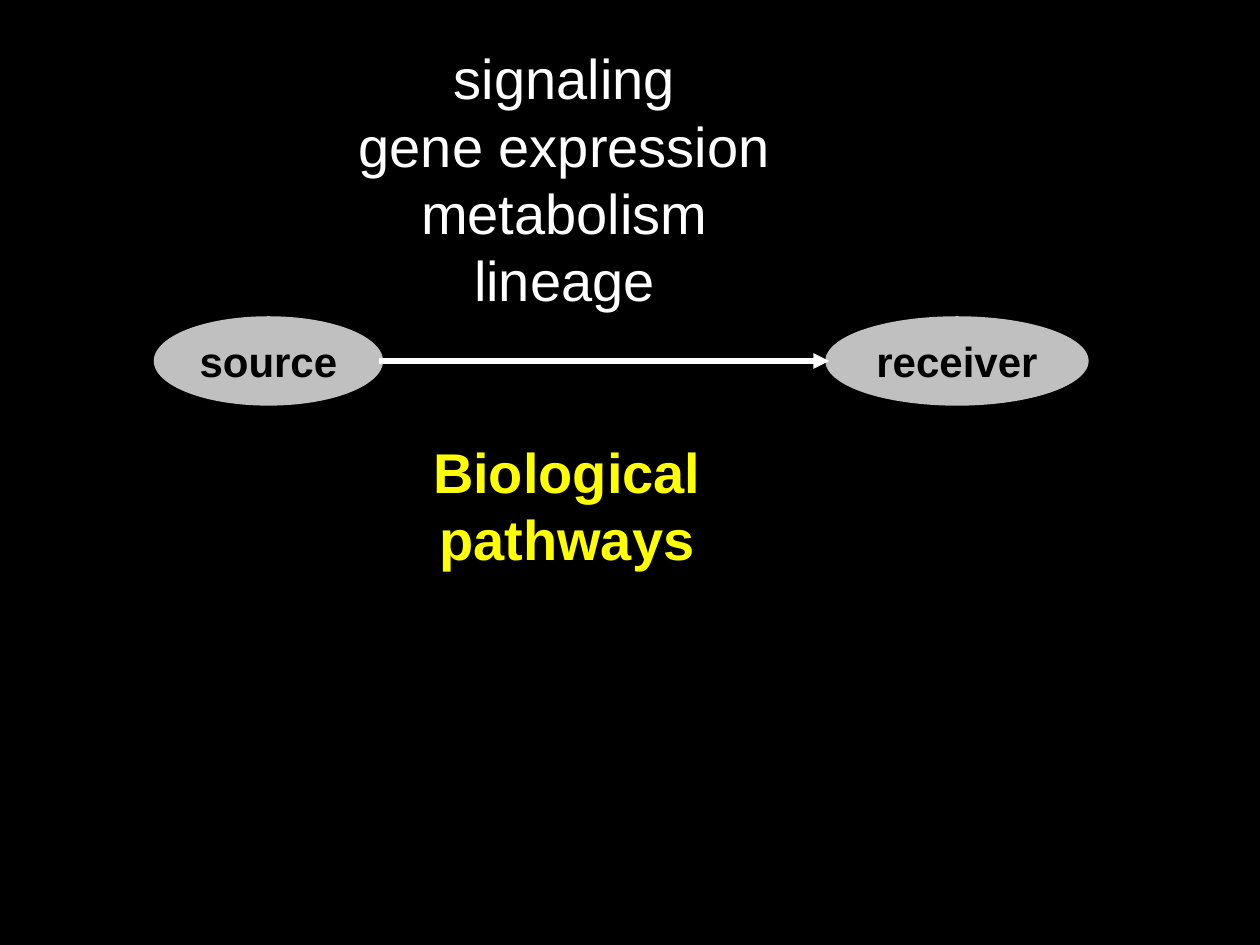
from lxml import etree
from pptx import Presentation
from pptx.dml.color import RGBColor
from pptx.enum.shapes import MSO_CONNECTOR, MSO_SHAPE
from pptx.enum.text import MSO_ANCHOR, MSO_AUTO_SIZE, PP_ALIGN
from pptx.oxml.ns import qn
from pptx.util import Inches, Pt

BLACK = RGBColor(0x00, 0x00, 0x00)
WHITE = RGBColor(0xFF, 0xFF, 0xFF)
GRAY = RGBColor(0xC0, 0xC0, 0xC0)
YELLOW = RGBColor(0xFF, 0xFF, 0x00)
FONT = "Arial"


def write_text(shape, lines, size=32, color=WHITE, bold=False,
               anchor=MSO_ANCHOR.TOP, wrap=False):
    """Fill a shape with centred lines, one paragraph each."""
    frame = shape.text_frame
    frame.word_wrap = wrap
    frame.auto_size = MSO_AUTO_SIZE.SHAPE_TO_FIT_TEXT
    frame.vertical_anchor = anchor
    # Narrow side margins keep each tightly fitting line whole
    frame.margin_left = frame.margin_right = Inches(0.05)
    frame.text = "\n".join(lines)
    for paragraph in frame.paragraphs:
        paragraph.alignment = PP_ALIGN.CENTER
        font = paragraph.font
        font.name, font.size, font.bold = FONT, Pt(size), bold
        font.color.rgb = color


def add_text(slide, box, lines, **text_format):
    write_text(slide.shapes.add_textbox(*map(Inches, box)), lines, **text_format)


def add_node(slide, box, label):
    node = slide.shapes.add_shape(MSO_SHAPE.OVAL, *map(Inches, box))
    node.shadow.inherit = False
    node.fill.solid()
    node.fill.fore_color.rgb = GRAY
    node.line.fill.background()
    write_text(node, [label], size=24, color=BLACK, bold=True,
               anchor=MSO_ANCHOR.MIDDLE)


def add_arrow(slide, start_x, end_x, y):
    arrow = slide.shapes.add_connector(
        MSO_CONNECTOR.STRAIGHT, Inches(start_x), Inches(y), Inches(end_x), Inches(y))
    arrow.line.color.rgb = WHITE
    arrow.line.width = Pt(3)
    line = arrow.line._get_or_add_ln()
    etree.SubElement(line, qn("a:tailEnd"), type="triangle")
    etree.SubElement(arrow._element.spPr, qn("a:effectLst"))


def add_pathway(slide, left, top, width, height):
    """Source and receiver at the two ends of the box, joined by an arrow."""
    source_width, receiver_width = 1.82, 2.09
    receiver_left = left + width - receiver_width
    overlap = 0.03  # the arrow reaches slightly into both ovals
    add_node(slide, (left, top, source_width, height), "source")
    add_node(slide, (receiver_left, top, receiver_width, height), "receiver")
    add_arrow(slide, left + source_width - overlap, receiver_left + overlap,
              top + height / 2)


def main():
    presentation = Presentation()
    presentation.slide_width = Inches(10)
    presentation.slide_height = Inches(7.5)
    slide = presentation.slides.add_slide(presentation.slide_layouts[6])
    slide.background.fill.solid()
    slide.background.fill.fore_color.rgb = BLACK

    # Diagram
    add_pathway(slide, 1.22, 2.51, 7.42, 0.71)
    # Kinds of pathway, above the arrow
    add_text(slide, (2.75, 0.3, 3.46, 2.24),
             ["signaling", "gene expression", "metabolism", "lineage"])
    # Caption, below the arrow
    add_text(slide, (3.25, 3.42, 2.5, 1.17), ["Biological pathways"],
             color=YELLOW, bold=True, wrap=True)

    presentation.save("out.pptx")


if __name__ == "__main__":
    main()
